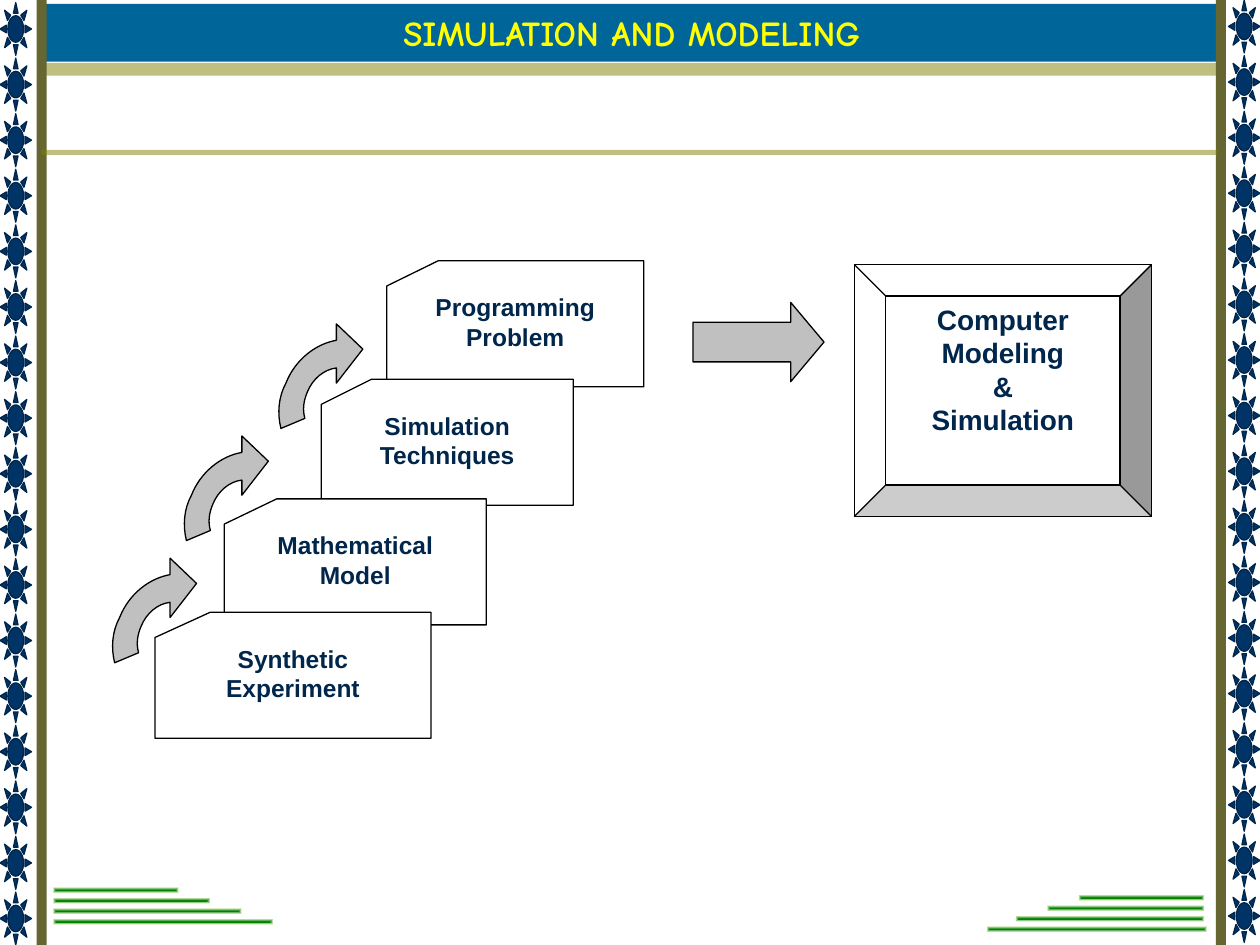
import math
from dataclasses import dataclass
from typing import NamedTuple

import lxml.etree
import pptx
import pptx.dml.color
import pptx.enum.shapes
import pptx.enum.text
import pptx.oxml
import pptx.oxml.ns
import pptx.shapes.autoshape
import pptx.shapes.shapetree
import pptx.text.text
import pptx.util
from pptx.util import Inches

SHAPE = pptx.enum.shapes.MSO_SHAPE


@dataclass(frozen=True)
class Theme:
    banner: str = "006699"
    title: str = "FFFF00"
    text: str = "00264C"
    olive: str = "808000"
    post: str = "666633"
    sun: str = "003366"
    white: str = "FFFFFF"
    black: str = "000000"
    arrow: str = "C0C0C0"
    stripe_core: str = "008000"
    stripe_edge: str = "FFFFE9"
    title_font: str = "Comic Neue"
    body_font: str = "Arial"
    title_size: int = 20
    card_size: int = 14
    result_size: int = 16
    line_width: float = 0.75


THEME = Theme()


class Frame(NamedTuple):
    left: float
    top: float
    width: float
    height: float


class Point(NamedTuple):
    x: float
    y: float


class Card(NamedTuple):
    frame: Frame
    text: str


class StripeStack(NamedTuple):
    top: float
    lefts: tuple[float, ...]


class SunColumn(NamedTuple):
    left: float
    top: float


CARDS = (
    Card(Frame(3.07, 2.07, 2.04, 1), "Programming\nProblem"),
    Card(Frame(2.55, 3.01, 2, 1), "Simulation\nTechniques"),
    Card(Frame(1.78, 3.96, 2.08, 1), "Mathematical\nModel"),
    Card(Frame(1.23, 4.86, 2.19, 1), "Synthetic\nExperiment"),
)
STACKS = (
    StripeStack(7.04, (0.42, 0.42, 0.42, 0.42)),
    StripeStack(7.10, (8.56, 8.31, 8.06, 7.83)),
)
SUN_COLUMNS = (SunColumn(9.75, 0), SunColumn(0, 0.02))
SUN_COUNT = 17
SUN_PITCH = 7.06 / (SUN_COUNT - 1)
STRIPE_PITCH = 0.25 / 3

ARROW_TURN = 203.4
ARROW_SIZE = Point(0.89, 1.11)
ARROW_CORNERS = (Point(0.92, 4.49), Point(1.49, 3.52), Point(2.24, 2.63))
ARROW_START = Point(0.43, 0.29)
ARROW_OUTLINE: tuple[tuple[Point, ...], ...] = (
    (Point(0.33, 0.30), Point(0.24, 0.38), Point(0.20, 0.48)),
    (Point(0.17, 0.55), Point(0.16, 0.62), Point(0.18, 0.69)),
    (Point(-0.01, 0.77),),
    (Point(-0.04, 0.65), Point(-0.03, 0.52), Point(0.03, 0.41)),
    (Point(0.10, 0.23), Point(0.26, 0.10), Point(0.43, 0.07)),
    (Point(0.43, -0.06),),
    (Point(0.64, 0.14),),
    (Point(0.43, 0.41),),
)


def rgb(value: str) -> pptx.dml.color.RGBColor:
    return pptx.dml.color.RGBColor.from_string(value)


def paint(shape: pptx.shapes.autoshape.Shape, fill: str, line: str | None = None) -> None:
    shape.shadow.inherit = False
    shape.fill.solid()
    shape.fill.fore_color.rgb = rgb(fill)
    if line is None:
        shape.line.fill.background()
    else:
        shape.line.color.rgb = rgb(line)
        shape.line.width = pptx.util.Pt(THEME.line_width)


def add_box(shapes: pptx.shapes.shapetree.SlideShapes, kind: SHAPE, frame: Frame,
            fill: str, line: str | None = None) -> pptx.shapes.autoshape.Shape:
    box = shapes.add_shape(kind, *map(Inches, frame))
    paint(box, fill, line)
    return box


def write(text_frame: pptx.text.text.TextFrame, text: str, font: str, size: int, color: str,
          anchor: pptx.enum.text.MSO_ANCHOR) -> None:
    text_frame.text = text
    text_frame.word_wrap = True
    text_frame.auto_size = pptx.enum.text.MSO_AUTO_SIZE.NONE
    text_frame.vertical_anchor = anchor
    for para in text_frame.paragraphs:
        para.alignment = pptx.enum.text.PP_ALIGN.CENTER
        para.font.name = font
        para.font.size = pptx.util.Pt(size)
        para.font.bold = True
        para.font.color.rgb = rgb(color)


def add_rule(shapes: pptx.shapes.shapetree.SlideShapes, frame: Frame) -> None:
    rule = add_box(shapes, SHAPE.RECTANGLE, frame, THEME.olive)
    color = rule.fill._xPr.find(".//" + pptx.oxml.ns.qn("a:srgbClr"))
    lxml.etree.SubElement(color, pptx.oxml.ns.qn("a:alpha"), val="50000")


def add_stripe(shapes: pptx.shapes.shapetree.SlideShapes, frame: Frame) -> None:
    stripe = add_box(shapes, SHAPE.RECTANGLE, frame, THEME.stripe_core)
    gradient = pptx.oxml.parse_xml(
        f'<a:gradFill {pptx.oxml.ns.nsdecls("a")}><a:gsLst>'
        f'<a:gs pos="0"><a:srgbClr val="{THEME.stripe_core}"/></a:gs>'
        f'<a:gs pos="100000"><a:srgbClr val="{THEME.stripe_edge}"/></a:gs></a:gsLst>'
        '<a:path path="rect"><a:fillToRect l="50000" t="50000" r="50000" b="50000"/></a:path>'
        '</a:gradFill>')
    properties = stripe._element.spPr
    properties.replace(properties.find(pptx.oxml.ns.qn("a:solidFill")), gradient)


def unturn(point: Point) -> Point:
    angle = math.radians(-ARROW_TURN)
    x, y = point.x - ARROW_SIZE.x / 2, point.y - ARROW_SIZE.y / 2
    return Point(Inches(ARROW_SIZE.x / 2 + x * math.cos(angle) - y * math.sin(angle)),
                 Inches(ARROW_SIZE.y / 2 + x * math.sin(angle) + y * math.cos(angle)))


def add_curved_arrow(shapes: pptx.shapes.shapetree.SlideShapes, corner: Point) -> None:
    builder = shapes.build_freeform(*unturn(ARROW_START))
    builder.add_line_segments([unturn(part[-1]) for part in ARROW_OUTLINE], close=True)
    arrow = builder.convert_to_shape()
    arrow.left, arrow.top, arrow.width, arrow.height = map(Inches, (*corner, *ARROW_SIZE))
    arrow.rotation = ARROW_TURN
    paint(arrow, THEME.arrow, THEME.black)

    qn = pptx.oxml.ns.qn
    outline = arrow._element.spPr.find(".//" + qn("a:path"))
    outline.clear()
    outline.set("w", str(arrow.width))
    outline.set("h", str(arrow.height))
    for index, part in enumerate(((ARROW_START,), *ARROW_OUTLINE)):
        tag = "a:moveTo" if index == 0 else "a:lnTo" if len(part) == 1 else "a:cubicBezTo"
        segment = lxml.etree.SubElement(outline, qn(tag))
        for point in map(unturn, part):
            lxml.etree.SubElement(segment, qn("a:pt"), x=str(int(point.x)), y=str(int(point.y)))
    lxml.etree.SubElement(outline, qn("a:close"))


def main() -> None:
    deck = pptx.Presentation()
    deck.slide_width, deck.slide_height = Inches(10), Inches(7.5)
    shapes = deck.slides.add_slide(deck.slide_layouts[5]).shapes
    anchors = pptx.enum.text.MSO_ANCHOR

    title = shapes.title
    title.left, title.top, title.width, title.height = map(Inches, Frame(0.35, 0.03, 9.33, 0.46))
    title.fill.solid()
    title.fill.fore_color.rgb = rgb(THEME.banner)
    write(title.text_frame, "SIMULATION AND MODELING", THEME.title_font, THEME.title_size,
          THEME.title, anchors.MIDDLE)
    add_rule(shapes, Frame(0.35, 0.5, 9.33, 0.1))
    for column in SUN_COLUMNS:
        for row in range(SUN_COUNT):
            frame = Frame(column.left, column.top + row * SUN_PITCH, 0.25, 0.42)
            add_box(shapes, SHAPE.SUN, frame, THEME.sun, THEME.text)
    for left in (0.29, 9.65):
        add_box(shapes, SHAPE.RECTANGLE, Frame(left, 0, 0.08, 7.5), THEME.post)
    add_rule(shapes, Frame(0.33, 1.19, 9.33, 0.04))
    for stack in STACKS:
        for row, left in enumerate(stack.lefts):
            add_stripe(shapes, Frame(left, stack.top + row * STRIPE_PITCH, 1 + row * 0.25, 0.05))

    for card in CARDS:
        box = add_box(shapes, SHAPE.FLOWCHART_CARD, card.frame, THEME.white, THEME.black)
        write(box.text_frame, card.text, THEME.body_font, THEME.card_size, THEME.text, anchors.TOP)
    result = add_box(shapes, SHAPE.BEVEL, Frame(6.78, 2.1, 2.36, 2), THEME.white, THEME.black)
    write(result.text_frame, "Computer\nModeling\n&\nSimulation", THEME.body_font,
          THEME.result_size, THEME.text, anchors.TOP)
    arrow = add_box(shapes, SHAPE.RIGHT_ARROW, Frame(5.5, 2.4, 1.04, 0.63), THEME.arrow, THEME.black)
    arrow.adjustments[1] = 0.42
    for corner in ARROW_CORNERS:
        add_curved_arrow(shapes, corner)
    deck.save("out.pptx")


if __name__ == "__main__":
    main()
